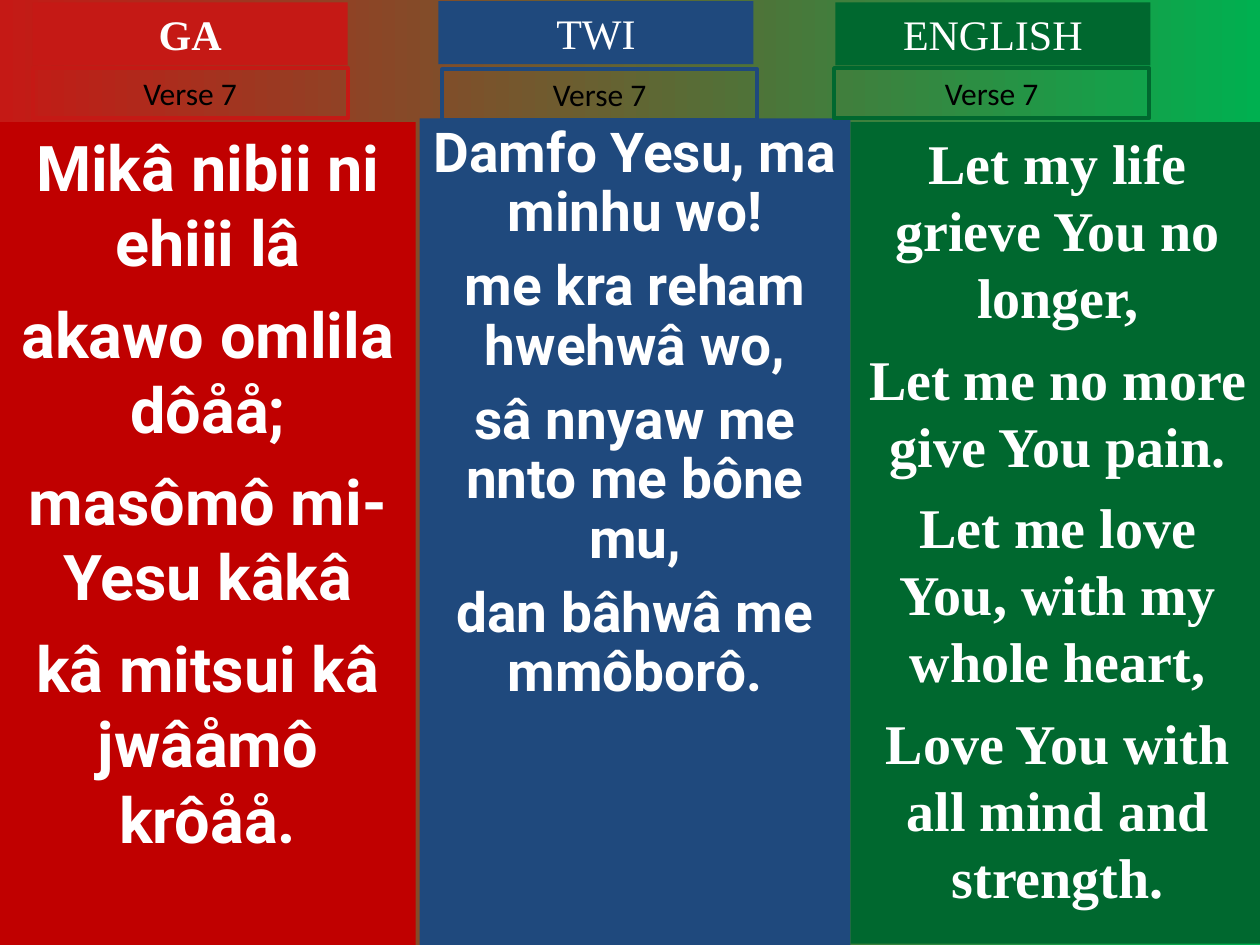
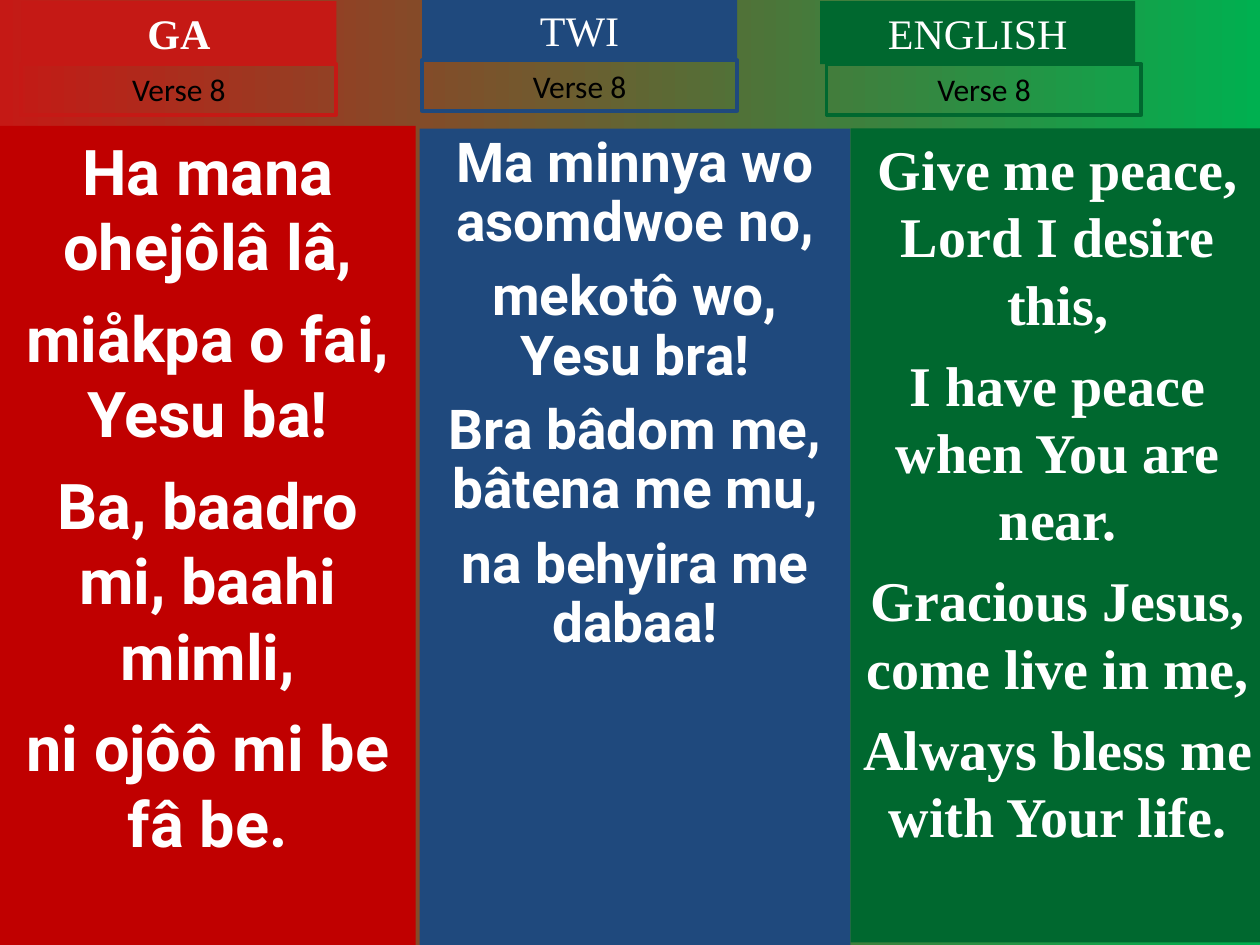
from pptx import Presentation
from pptx import util as u
from pptx.dml.color import RGBColor
from pptx.enum import text

COLORS = {
    "ga_head": "C51915",
    "ga_body": "C00000",
    "twi": "1F497D",
    "english": "00682F",
    "bg_end": "00B050",
    "white": "FFFFFF",
    "black": "000000",
}

LANGUAGES = [
    dict(name="GA", head="ga_head", body="ga_body", bold=True, left=0, width=3.3,
         font="Roboto", size=36, before=9, spacing=None),
    dict(name="TWI", head="twi", body="twi", bold=False, left=3.33, width=3.42,
         font="Roboto", size=31.4, before=8.5, spacing=0.9),
    dict(name="ENGLISH", head="english", body="english", bold=False, left=6.75, width=3.29,
         font="Times New Roman", size=32, before=8, spacing=None),
]

VERSES = [
    ("Verse 7", [
        dict(head=(0.26, 0.02), label=(0.26, 0.54), top=0.97, bottom=7.5, lines=[
            "Mikâ nibii ni ehiii lâ",
            "akawo omlila dôåå;",
            "masômô mi-Yesu kâkâ",
            "kâ mitsui kâ jwâåmô krôåå."]),
        dict(head=(3.48, 0.01), label=(3.51, 0.55), top=0.94, bottom=7.5, lines=[
            "Damfo Yesu, ma minhu wo!",
            "me kra reham hwehwâ wo,",
            "sâ nnyaw me nnto me bône mu,",
            "dan bâhwâ me mmôborô."]),
        dict(head=(6.63, 0.02), label=(6.62, 0.54), top=0.97, bottom=7.49, lines=[
            "Let my life grieve You no longer,",
            "Let me no more give You pain.",
            "Let me love You, with my whole heart,",
            "Love You with all mind and strength."]),
    ]),
    ("Verse 8", [
        dict(head=(0.17, 0.01), label=(0.17, 0.51), top=1, bottom=7.5, lines=[
            "Ha mana ohejôlâ lâ,",
            "miåkpa o fai, Yesu ba!",
            "Ba, baadro mi, baahi mimli,",
            "ni ojôô mi be fâ be."]),
        dict(head=(3.35, -0.01), label=(3.35, 0.48), top=1.02, bottom=7.5, lines=[
            "Ma minnya wo asomdwoe no,",
            "mekotô wo, Yesu bra!",
            "Bra bâdom me, bâtena me mu,",
            "na behyira me dabaa!"]),
        dict(head=(6.51, 0.01), label=(6.56, 0.51), top=1.02, bottom=7.48, lines=[
            "Give me peace, Lord I desire this,",
            "I have peace when You are near.",
            "Gracious Jesus, come live in me,",
            "Always bless me with Your life."]),
    ]),
]


def rgb(name):
    return RGBColor.from_string(COLORS[name])


def set_background(master):
    fill = master.background.fill
    fill.gradient()
    fill.gradient_angle = 0
    for stop, name in zip(fill.gradient_stops, ("ga_head", "bg_end")):
        stop.color.rgb = rgb(name)


def add_box(s, left, top, width, height, lines, font, size, color="white",
            bold=False, before=0, spacing=None):
    """Add a text box with one centred paragraph per line."""
    sp = s.shapes.add_textbox(*map(u.Inches, (left, top, width, height)))
    tf = sp.text_frame
    tf.word_wrap = True
    tf.auto_size = text.MSO_AUTO_SIZE.NONE
    tf.vertical_anchor = text.MSO_ANCHOR.TOP
    for i, line in enumerate(lines):
        p = tf.add_paragraph() if i else tf.paragraphs[0]
        p.alignment = text.PP_ALIGN.CENTER
        p.space_before = u.Pt(before if i else 0)
        if spacing:
            p.line_spacing = spacing
        r = p.add_run()
        r.text = line
        r.font.name = font
        r.font.size = u.Pt(size)
        r.font.bold = bold
        r.font.color.rgb = rgb(color)
    return sp


def fill_box(sp, color):
    sp.fill.solid()
    sp.fill.fore_color.rgb = rgb(color)


def add_lyrics(s, lang, verse):
    sp = add_box(s, lang["left"], verse["top"], lang["width"],
                 verse["bottom"] - verse["top"], verse["lines"], lang["font"],
                 lang["size"], bold=True, before=lang["before"], spacing=lang["spacing"])
    fill_box(sp, lang["body"])


def add_heading(s, lang, verse):
    sp = add_box(s, *verse["head"], 2.5, 0.5, [lang["name"]], "Times New Roman", 24,
                 bold=lang["bold"])
    fill_box(sp, lang["head"])


def add_verse_label(s, lang, verse, label):
    sp = add_box(s, *verse["label"], 2.5, 0.4, [label], "Calibri", 18, color="black")
    sp.line.color.rgb = rgb(lang["head"])
    sp.line.width = u.Pt(2.25)


def main():
    prs = Presentation()
    prs.slide_width, prs.slide_height = u.Inches(10), u.Inches(7.5)
    set_background(prs.slide_master)
    blank = prs.slide_layouts.get_by_name("Blank")
    for label, columns in VERSES:
        s = prs.slides.add_slide(blank)
        for lang, verse in zip(LANGUAGES, columns):
            add_lyrics(s, lang, verse)
        for lang, verse in zip(LANGUAGES, columns):
            add_heading(s, lang, verse)
            add_verse_label(s, lang, verse, label)
    prs.save("out.pptx")


if __name__ == "__main__":
    main()
